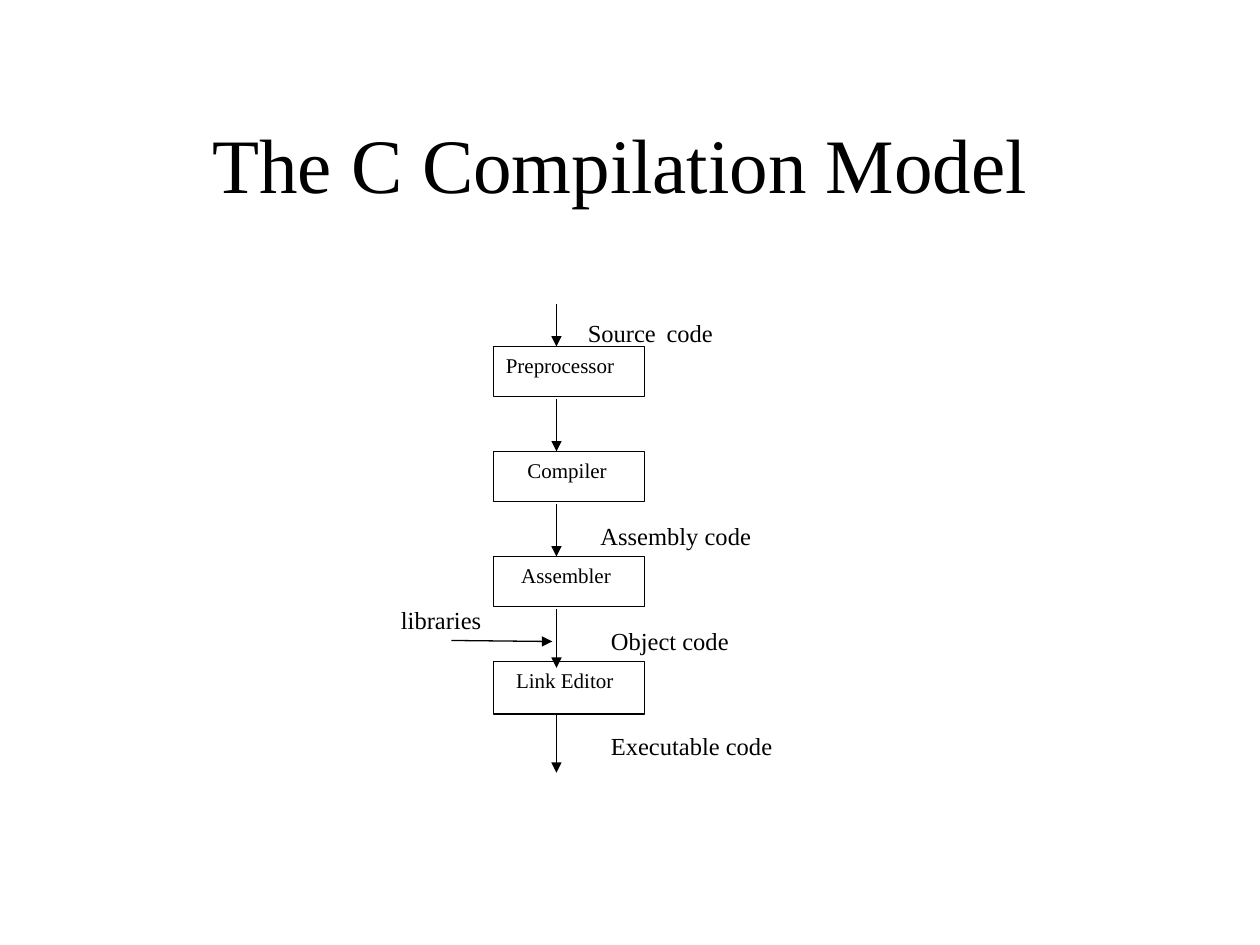
from lxml.etree import SubElement
from pptx import Presentation
from pptx.dml.color import RGBColor
from pptx.enum.shapes import MSO_CONNECTOR, MSO_SHAPE
from pptx.enum.text import MSO_ANCHOR, PP_ALIGN
from pptx.oxml.ns import qn
from pptx.util import Inches, Pt

FONT = "Times New Roman"
INK = "000000"
PAPER = "FFFFFF"
SPINE = 53
BOX_LEFT, BOX_WIDTH = 47, 14.4
FIRST_ROW, ROW_STEP = 33, 10


def grid(*cells):
    return [Inches(cell / 12) for cell in cells]


def color(target, value):
    target.rgb = RGBColor.from_string(value)


def style_line(line):
    color(line.color, INK)
    line.width = Pt(0.75)


def style_run(r, size):
    r.font.name = FONT
    r.font.size = Pt(size)
    color(r.font.color, INK)


def add_text(s, area, parts):
    sp = s.shapes.add_textbox(*grid(*area))
    tf = sp.text_frame
    tf.word_wrap = True
    p = tf.paragraphs[0]
    for text, size in parts:
        r = p.add_run()
        r.text = text
        style_run(r, size)
    return tf


def add_title(s, text):
    tf = add_text(s, (9, 8, 102, 15), [(text, 44)])
    tf.vertical_anchor = MSO_ANCHOR.MIDDLE
    tf.paragraphs[0].alignment = PP_ALIGN.CENTER


def add_stage(s, row, text, height, indent):
    area = grid(BOX_LEFT, FIRST_ROW + row * ROW_STEP, BOX_WIDTH, height)
    sp = s.shapes.add_shape(MSO_SHAPE.RECTANGLE, *area)
    sp.shadow.inherit = False
    sp.fill.solid()
    color(sp.fill.fore_color, PAPER)
    style_line(sp.line)
    tf = sp.text_frame
    tf.text = text
    tf.vertical_anchor = MSO_ANCHOR.TOP
    tf.margin_left = Inches(0.1 + indent)
    p = tf.paragraphs[0]
    p.alignment = PP_ALIGN.LEFT
    style_run(p.runs[0], 12)


def add_arrow(s, *ends):
    arrow = s.shapes.add_connector(MSO_CONNECTOR.STRAIGHT, *grid(*ends))
    style_line(arrow.line)
    props = arrow._element.spPr
    SubElement(props.find(qn("a:ln")), qn("a:tailEnd"), type="triangle")
    SubElement(props, qn("a:effectLst"))


def main():
    prs = Presentation()
    prs.slide_width, prs.slide_height = grid(120, 90)
    s = prs.slides.add_slide(prs.slide_layouts[6])
    add_title(s, "The C Compilation Model ")

    stages = [
        ("Preprocessor", 4.8, 0),
        ("Compiler", 4.8, 0.17),
        ("Assembler", 4.8, 0.12),
        ("Link Editor", 5, 0.08),
    ]
    for row, (text, height, indent) in enumerate(stages):
        add_stage(s, row, text, height, indent)

    for top, bottom in [(29, 33), (38, 43), (48, 53), (58, 63.6), (68, 73.6)]:
        add_arrow(s, SPINE, top, SPINE, bottom)
    add_arrow(s, 43, 61, 52.6, 61.1)

    source = [("Source", 14), (" ", 24), ("code", 14)]
    add_text(s, (54.8, 28, 27.2, 6), source)
    labels = [
        ("Assembly code", 56, 49, 17.2),
        ("Object code", 57, 59, 14),
        ("Executable code", 57, 69, 19),
        ("libraries", 37, 57, 10.5),
    ]
    for text, left, top, width in labels:
        add_text(s, (left, top, width, 4.1), [(text, 14)])

    prs.save("out.pptx")


if __name__ == "__main__":
    main()
